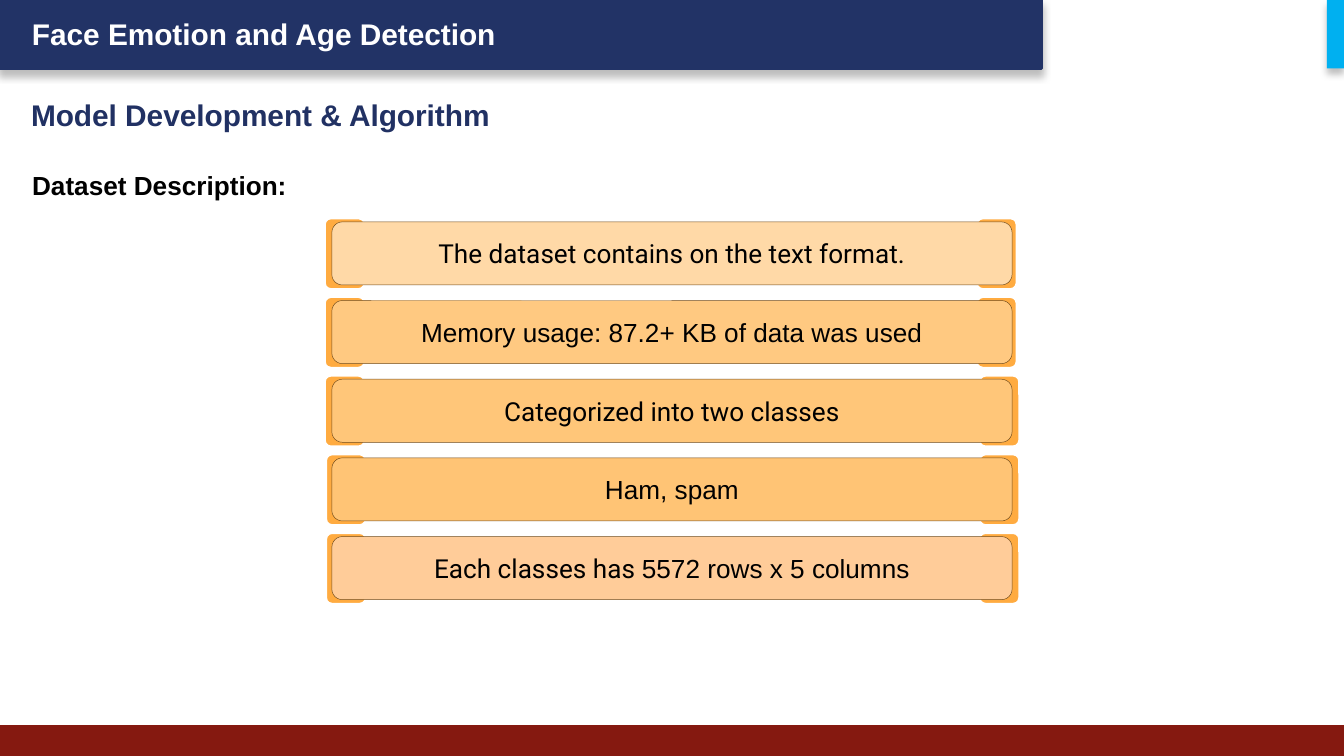
from dataclasses import dataclass

from lxml import etree
from pptx import Presentation
from pptx.dml.color import RGBColor
from pptx.enum.shapes import MSO_SHAPE
from pptx.enum.text import MSO_ANCHOR, MSO_AUTO_SIZE, PP_ALIGN
from pptx.oxml.ns import qn
from pptx.util import Pt

RECT, ROUND = MSO_SHAPE.RECTANGLE, MSO_SHAPE.ROUNDED_RECTANGLE
TOP, MIDDLE = MSO_ANCHOR.TOP, MSO_ANCHOR.MIDDLE
LEFT, CENTER = PP_ALIGN.LEFT, PP_ALIGN.CENTER
WIDTH, HEIGHT = 720, 405


@dataclass(frozen=True)
class Theme:
    navy: str = "223366"
    title: str = "213163"
    red: str = "851910"
    cyan: str = "00B0F0"
    tab: str = "FFAB40"
    edge: str = "704B1C"
    white: str = "FFFFFF"
    black: str = "000000"
    sans: str = "Arial"
    alt: str = "Roboto"
    head: int = 16
    body: int = 14


THEME = Theme()

# Fill, shift of left and right tab, text runs with their fonts
CARDS = [
    ("FFD9A7", 0, 0, [("The dataset contains on the text format.", THEME.alt)]),
    ("FFC981", 0, 0, [("Memory usage: 87.2+ KB of data was used", THEME.sans)]),
    ("FFC679", 0, 1.4, [("Categorized into two classes", THEME.alt)]),
    ("FFC475", 0.7, 1.4, [("Ham, spam", THEME.sans)]),
    ("FFCC99", 0.7, 1.4, [("Each classes has ", THEME.alt),
                          ("5572 rows x 5 columns", THEME.sans)]),
]


def color(code):
    return RGBColor.from_string(code)


def add_box(slide, kind, box, fill, line=None, width=0):
    shape = slide.shapes.add_shape(kind, *map(Pt, box))
    shape.shadow.inherit = False
    shape.fill.solid()
    shape.fill.fore_color.rgb = color(fill)
    if line:
        shape.line.color.rgb = color(line)
        shape.line.width = Pt(width)
    else:
        shape.line.fill.background()
    return shape


def add_shade(shape):
    """Cast a soft shadow straight down."""
    effects = shape._element.spPr.find(qn("a:effectLst"))
    outer = etree.SubElement(effects, qn("a:outerShdw"), blurRad=str(Pt(4)),
                             dist=str(Pt(3)), dir="5400000", algn="t",
                             rotWithShape="0")
    tone = etree.SubElement(outer, qn("a:srgbClr"), val=THEME.black)
    etree.SubElement(tone, qn("a:alpha"), val="25000")


def write(shape, runs, size, ink, bold=False, align=LEFT, anchor=TOP, pad=3.6):
    frame = shape.text_frame
    frame.word_wrap = True
    frame.auto_size = MSO_AUTO_SIZE.NONE
    frame.vertical_anchor = anchor
    frame.margin_left = frame.margin_right = Pt(7.2)
    frame.margin_top = frame.margin_bottom = Pt(pad)
    para = frame.paragraphs[0]
    para.alignment = align
    for text, face in runs:
        run = para.add_run()
        run.text = text
        run.font.name = face
        run.font.size = Pt(size)
        run.font.bold = bold
        run.font.color.rgb = color(ink)


def add_frame(slide, box):
    """Draw the header band, its accent and the footer band."""
    x, y, w, h = box
    band, foot, chip = 36.72, 16.5, 9.2
    bar = add_box(slide, RECT, (x, y, 558, band), THEME.navy, THEME.navy, 2)
    add_shade(bar)
    add_box(slide, RECT, (x, y + h - foot, w, foot), THEME.red)
    label = slide.shapes.add_textbox(Pt(x + 10), Pt(y + 5), Pt(306), Pt(23))
    write(label, [("Face Emotion and Age Detection", THEME.sans)],
          THEME.head, THEME.white, bold=True)
    accent = add_box(slide, RECT, (x + w - chip, y, chip, band), THEME.cyan)
    add_shade(accent)


def add_heads(slide, box):
    """Place the title and the subheading below it."""
    x, y, w, h = box
    title = slide.shapes.title
    title.left, title.top = Pt(x), Pt(y)
    title.width, title.height = Pt(w), Pt(34)
    write(title, [("Model Development & Algorithm", THEME.sans)],
          THEME.head, THEME.title, bold=True, pad=7.2)
    sub = slide.shapes.add_textbox(Pt(x + 0.7), Pt(y + h - 28), Pt(w), Pt(28))
    write(sub, [("Dataset Description:", THEME.sans)],
          THEME.body, THEME.black, bold=True, pad=7.2)


def add_card(slide, box, card):
    x, y, w, h = box
    fill, near, far, runs = card
    for left in (x - 4.3 + near, x + w - 19.4 + far):
        add_box(slide, ROUND, (left, y - 2.4, 22.3, h + 5.1),
                THEME.tab, THEME.white, 2)
    shape = add_box(slide, ROUND, box, fill, THEME.edge, 0.25)
    write(shape, runs, THEME.body, THEME.black, align=CENTER, anchor=MIDDLE)


def add_list(slide, box):
    x, y, w, h = box
    tall = 33.8
    step = (h - tall) / (len(CARDS) - 1)
    for i, card in enumerate(CARDS):
        add_card(slide, (x, y + i * step, w, tall), card)


def main():
    deck = Presentation()
    deck.slide_width, deck.slide_height = Pt(WIDTH), Pt(HEIGHT)
    slide = deck.slides.add_slide(deck.slide_layouts.get_by_name("Title Only"))
    add_frame(slide, (0, 0, WIDTH, HEIGHT))
    add_heads(slide, (9.4, 44.6, 350, 67))
    add_list(slide, (177.8, 118.9, 364.4, 202.4))
    deck.save("out.pptx")


if __name__ == "__main__":
    main()
